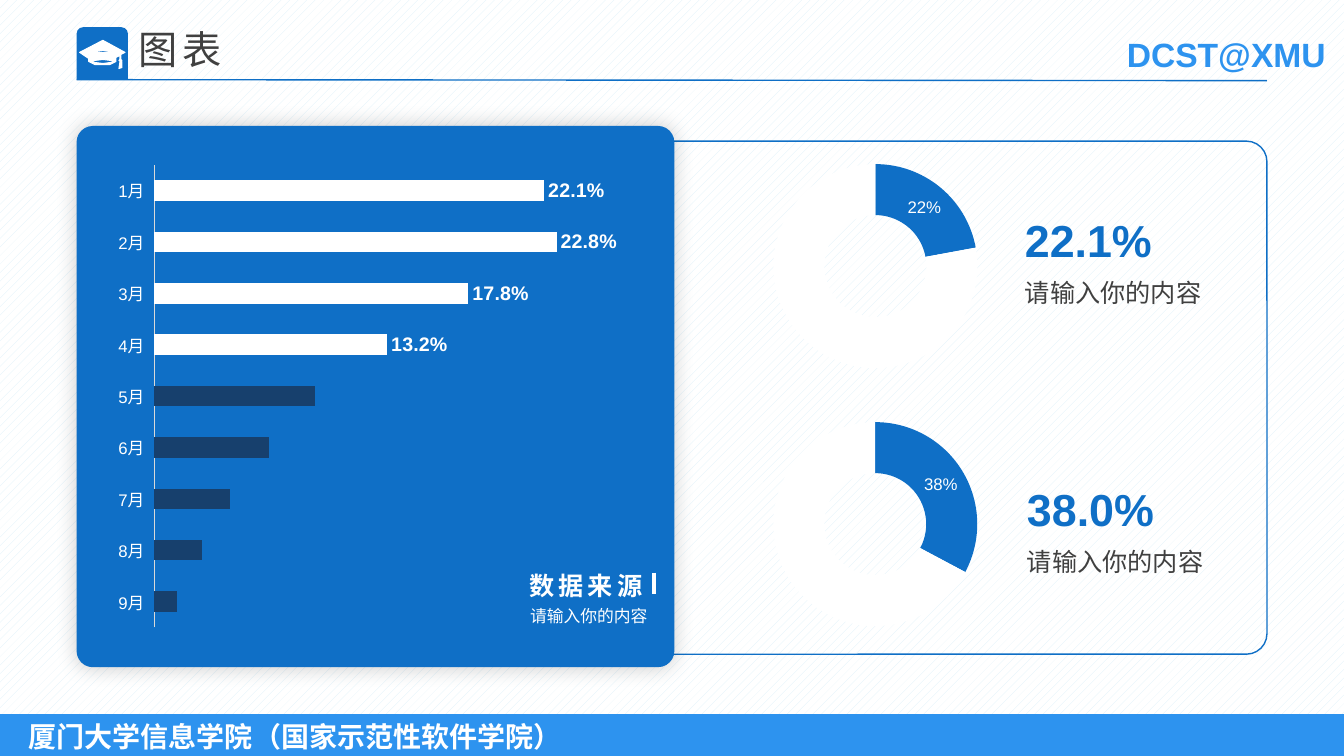
from pptx import Presentation
from pptx.chart.data import CategoryChartData
from pptx.dml.color import RGBColor
from pptx.enum.chart import XL_CHART_TYPE, XL_LABEL_POSITION, XL_TICK_LABEL_POSITION, XL_TICK_MARK
from pptx.enum.dml import MSO_PATTERN
from pptx.enum.shapes import MSO_CONNECTOR, MSO_SHAPE
from pptx.enum.text import MSO_ANCHOR, PP_ALIGN
from pptx.oxml import parse_xml
from pptx.oxml.ns import nsdecls
from pptx.util import Pt

RECT = MSO_SHAPE.RECTANGLE
ROUNDED = MSO_SHAPE.ROUNDED_RECTANGLE
ROUNDED_TOP = MSO_SHAPE.ROUND_2_SAME_RECTANGLE
STRAIGHT = MSO_CONNECTOR.STRAIGHT
BAR = XL_CHART_TYPE.BAR_CLUSTERED
DOUGHNUT = XL_CHART_TYPE.DOUGHNUT
OUTSIDE = XL_LABEL_POSITION.OUTSIDE_END
NO_TICK = XL_TICK_MARK.NONE
LOW = XL_TICK_LABEL_POSITION.LOW
DOTS = MSO_PATTERN.PERCENT_20
MIDDLE, TOP = MSO_ANCHOR.MIDDLE, MSO_ANCHOR.TOP
LEFT = PP_ALIGN.LEFT

COLORS = {
    "blue": "0F6FC6", "sky": "2D93EF", "navy": "17406D", "pale": "DBEFF9",
    "white": "FFFFFF", "gray": "404040", "axis": "D9D9D9", "black": "000000",
}
# Outlines in hundredths of an inch
CAP_OUTLINES = [
    [(120, 59), (120, 54), (124, 52), (102, 40), (79, 52), (88, 58), (88, 61), (94, 63.5),
     (102, 64), (109, 63.5), (115, 61), (115, 57), (119, 55), (119, 59), (118, 60),
     (120, 61), (121, 60)],
    [(102, 63), (94, 62.5), (90, 61), (94, 59.5), (102, 59), (110, 59.5), (114, 61), (110, 62.5)],
    [(115, 55), (110, 52.5), (102, 52), (94, 52.5), (88, 55), (88, 54), (94, 51),
     (102, 50), (110, 51), (115, 54)],
    [(119, 61), (118, 68), (121, 67), (121, 61)],
]
MONTHLY_SHARES = [0.221, 0.228, 0.178, 0.132, 0.091, 0.065, 0.043, 0.027, 0.013]
HIGHLIGHTED = 4


def rgb(name):
    return RGBColor.from_string(COLORS[name])


class SlideBuilder:
    font = "Arial"

    def __init__(self, slide):
        self.slide = slide
        self.shapes = slide.shapes

    def paint(self, shape, fill=None, line=None, weight=1):
        shape.shadow.inherit = False
        if fill:
            shape.fill.solid()
            shape.fill.fore_color.rgb = rgb(fill)
        else:
            shape.fill.background()
        if line:
            shape.line.color.rgb = rgb(line)
            shape.line.width = Pt(weight)
        else:
            shape.line.fill.background()
        return shape

    def block(self, kind, box, fill=None, line=None, radius=None):
        shape = self.shapes.add_shape(kind, *map(Pt, box))
        if radius is not None:
            shape.adjustments[0] = radius
        return self.paint(shape, fill, line)

    def outline(self, contours, unit, fill, line, weight):
        builder = self.shapes.build_freeform(*contours[0][0], scale=Pt(unit))
        for contour in contours:
            builder.move_to(*contour[0])
            builder.add_line_segments(contour[1:], close=True)
        return self.paint(builder.convert_to_shape(), fill, line, weight)

    def line(self, start, end, color, weight):
        connector = self.shapes.add_connector(STRAIGHT, *map(Pt, start + end))
        connector.line.color.rgb = rgb(color)
        connector.line.width = Pt(weight)
        connector._element.spPr.append(parse_xml(f"<a:effectLst {nsdecls('a')}/>"))

    def style_font(self, font, size, color, bold=False):
        look = {"name": self.font, "size": Pt(size), "bold": bold}
        for attribute, value in look.items():
            setattr(font, attribute, value)
        font.color.rgb = rgb(color)

    def fill_text(self, shape, text, size, color, bold=False, wrap=False, inset=7.2,
                  anchor=TOP, spacing=None, tracking=None):
        frame = shape.text_frame
        layout = {"word_wrap": wrap, "margin_left": Pt(inset), "vertical_anchor": anchor}
        for attribute, value in layout.items():
            setattr(frame, attribute, value)
        paragraph = frame.paragraphs[0]
        paragraph.alignment = LEFT
        if spacing:
            paragraph.line_spacing = spacing
        run = paragraph.add_run()
        run.text = text
        self.style_font(run.font, size, color, bold)
        if tracking:
            run._r.get_or_add_rPr().set("spc", str(tracking * 100))
        return run

    def text(self, box, *content, **style):
        return self.fill_text(self.shapes.add_textbox(*map(Pt, box)), *content, **style)

    def chart(self, kind, box, categories, values, number_format):
        data = CategoryChartData(number_format=number_format)
        data.categories = categories
        data.add_series("Series 1", values)
        chart = self.shapes.add_chart(kind, *map(Pt, box), data).chart
        chart.has_legend = chart.has_title = False
        self.style_font(chart.font, 10, "black")
        return chart

    def color_point(self, series, index, color):
        fill = series.points[index].format.fill
        fill.solid()
        fill.fore_color.rgb = rgb(color)

    def doughnut(self, box, share):
        chart = self.chart(DOUGHNUT, box, ["1", "2"], [share, 0.779], "0%")
        series = chart.plots[0].series[0]
        for index, color in enumerate(["blue", "white"]):
            self.color_point(series, index, color)
        series.data_labels.show_value = False
        self.style_font(series.points[0].data_label.font, 12, "white")

    def month_bars(self, box, shares):
        months = [f"{month}月" for month in range(len(shares), 0, -1)]
        chart = self.chart(BAR, box, months, shares[::-1], "0.0%")
        plot = chart.plots[0]
        plot.gap_width = 150
        plot.vary_by_categories = False
        chart.value_axis.visible = False
        chart.value_axis.has_major_gridlines = False
        axis = chart.category_axis
        axis.major_tick_mark = axis.minor_tick_mark = NO_TICK
        axis.tick_label_position = LOW
        axis.format.line.color.rgb = rgb("axis")
        axis.format.line.width = Pt(0.75)
        self.style_font(axis.tick_labels.font, 12, "white")

        series = plot.series[0]
        series.format.fill.solid()
        series.format.fill.fore_color.rgb = rgb("white")
        labels = series.data_labels
        options = {"show_value": True, "number_format": "0.0%",
                   "number_format_is_linked": False, "position": OUTSIDE}
        for attribute, value in options.items():
            setattr(labels, attribute, value)
        self.style_font(labels.font, 14, "white", True)
        for index in range(len(shares) - HIGHLIGHTED):
            self.color_point(series, index, "navy")
            labels._element.insert(index, parse_xml(
                f'<c:dLbl {nsdecls("c")}><c:idx val="{index}"/><c:delete val="1"/></c:dLbl>'))
        self.place_plot(chart, {"x": 0.09, "y": 0.03, "w": 0.8, "h": 0.94})

    def place_plot(self, chart, area):
        plot_area = chart._chartSpace.chart.plotArea
        for layout in plot_area.findall("{*}layout"):
            plot_area.remove(layout)
        modes = '<c:xMode val="edge"/><c:yMode val="edge"/>'
        sizes = "".join(f'<c:{side} val="{value}"/>' for side, value in area.items())
        plot_area.insert(0, parse_xml(
            f'<c:layout {nsdecls("c")}><c:manualLayout><c:layoutTarget val="inner"/>'
            f"{modes}{sizes}</c:manualLayout></c:layout>"))

    def glow(self, shape, blur, opacity):
        effects = parse_xml(
            f'<a:effectLst {nsdecls("a")}><a:outerShdw blurRad="{Pt(blur)}" dist="0" dir="0">'
            f'<a:srgbClr val="{COLORS["black"]}"><a:alpha val="{opacity * 1000}"/></a:srgbClr>'
            "</a:outerShdw></a:effectLst>")
        properties = shape._element.spPr
        properties.replace(properties.find("{*}effectLst"), effects)


def main():
    deck = Presentation()
    deck.slide_width, deck.slide_height = Pt(960), Pt(540)
    page = SlideBuilder(deck.slides.add_slide(deck.slide_layouts[6]))

    backdrop = page.block(RECT, (0, 0, 960, 540), "white")
    backdrop.fill.patterned()
    backdrop.fill.pattern = DOTS
    backdrop.fill.fore_color.rgb = rgb("pale")
    backdrop.fill.back_color.rgb = rgb("white")

    footer = page.block(RECT, (0, 510, 960, 31.5), "sky")
    page.fill_text(footer, "厦门大学信息学院（国家示范性软件学院）", 20, "white", bold=True,
                   wrap=True, inset=20.5, anchor=MIDDLE)
    department = page.text((797.8, 20.9, 158.4, 36), "DCST@XMU", 24, "sky", bold=True)
    department.font.fill.gradient()
    department.font.fill.gradient_angle = 270
    for stop, color in zip(department.font.fill.gradient_stops, ["sky", "blue"]):
        stop.color.rgb = rgb(color)

    page.block(ROUNDED_TOP, (54.7, 19.4, 36.7, 37.5), "blue", radius=0.13)
    page.outline(CAP_OUTLINES, 0.72, "white", "white", 0.75)
    page.line((54.7, 56.9), (905, 57.6), "blue", 1)
    page.text((92.2, 18, 525.6, 72), "图表", 28, "gray", wrap=True, spacing=0.9, tracking=3)

    page.doughnut((468.7, 107.3, 313.2, 165.6), 0.221)
    for share, left, top in [("22.1%", 725, 148.3), ("38.0%", 726.5, 340.6)]:
        page.text((left, top, 105.8, 46), share, 32, "blue", bold=True)
        page.text((left, top + 46, 141.8, 28.8), "请输入你的内容", 18, "gray")

    page.block(ROUNDED, (461.5, 100.8, 443.5, 366.5), line="blue", radius=0.04)
    panel = page.block(ROUNDED, (54.7, 90, 427, 386.6), "blue", radius=0.03)
    page.glow(panel, 15, 20)
    page.month_bars((74.9, 107.3, 393.8, 351.4), MONTHLY_SHARES)
    page.text((349.9, 397.4, 228.2, 32.4), "数据来源", 18, "white", bold=True, wrap=True,
              inset=28, spacing=1.3, tracking=3)
    page.line((467.3, 409), (467.3, 424), "white", 3)
    page.text((371.5, 429.1, 99.4, 21.6), "请输入你的内容", 12, "white")
    page.doughnut((468.7, 291.6, 313.2, 165.6), 0.38)

    deck.save("out.pptx")


if __name__ == "__main__":
    main()
